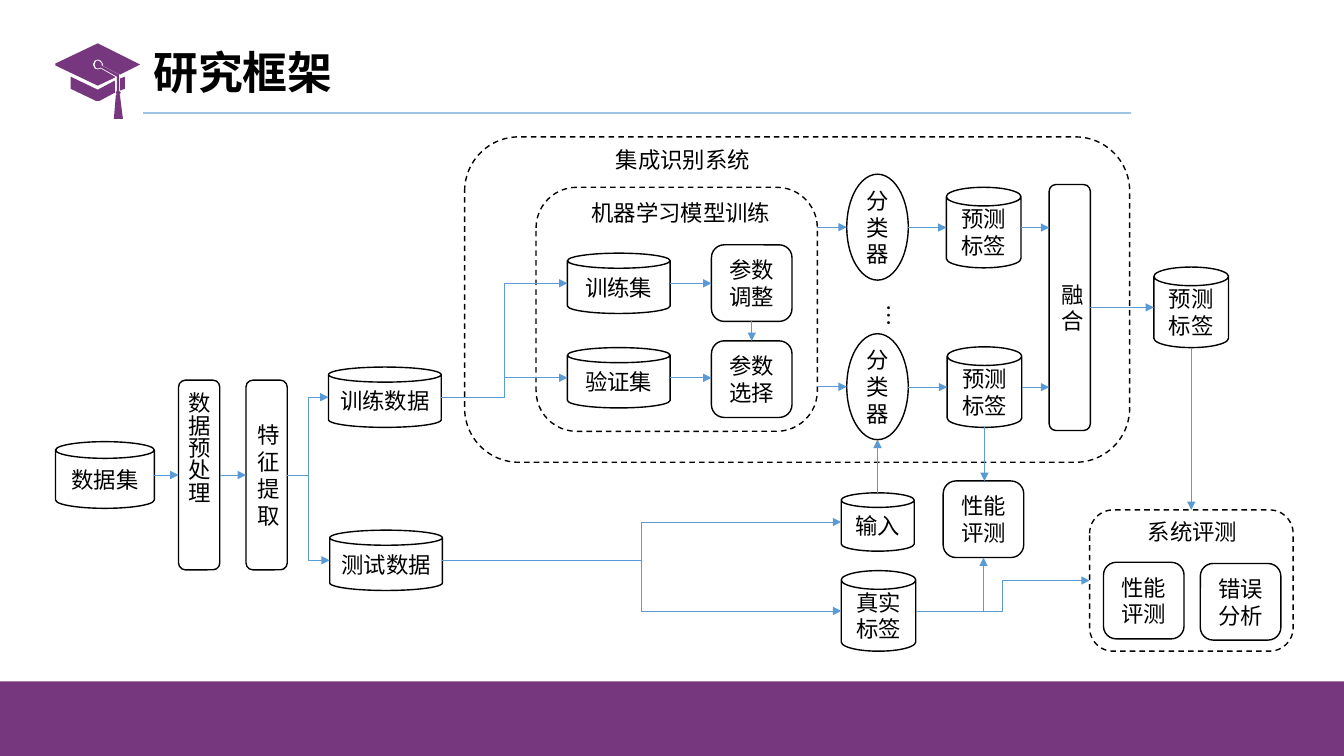
from lxml.etree import SubElement
from pptx import Presentation
from pptx.dml.color import RGBColor
from pptx.enum.dml import MSO_LINE
from pptx.enum.shapes import MSO_CONNECTOR, MSO_SHAPE
from pptx.enum.text import MSO_ANCHOR, PP_ALIGN
from pptx.oxml.ns import qn
from pptx.util import Cm, Pt

BLACK = RGBColor(0x00, 0x00, 0x00)
PURPLE = RGBColor(0x77, 0x37, 0x7E)
ARROW_BLUE = RGBColor(0x5B, 0x9B, 0xD5)
RULE_BLUE = RGBColor(0x9D, 0xC3, 0xE6)
FONT = "Noto Sans CJK SC"
CAN, ROUND, OVAL = MSO_SHAPE.CAN, MSO_SHAPE.ROUNDED_RECTANGLE, MSO_SHAPE.OVAL

# Content: all positions and sizes in centimetres
TITLE = "研究框架"
DATA, SET, LABEL = (2.84, 1.52), (2.59, 1.52), (1.88, 2.03)
STEP, COLUMN, CLASSIFIER = (2.03, 1.93), (1.04, 4.78), (1.55, 2.67)

# name: shape, text, (left, top), (width, height)
NODES = {
    "dataset": (CAN, "数据集", (1.4, 11.13), (2.49, 1.68)),
    "preprocess": (ROUND, "数据预处理", (4.5, 9.58), COLUMN),
    "features": (ROUND, "特征提取", (6.2, 9.58), COLUMN),
    "train data": (CAN, "训练数据", (8.28, 9.25), DATA),
    "test data": (CAN, "测试数据", (8.31, 13.36), DATA),
    "train set": (CAN, "训练集", (14.3, 6.38), SET),
    "check set": (CAN, "验证集", (14.3, 8.76), SET),
    "tuning": (ROUND, "参数调整", (17.93, 6.17), STEP),
    "selection": (ROUND, "参数选择", (17.93, 8.59), STEP),
    "classifier 1": (OVAL, "分类器", (21.34, 4.39), CLASSIFIER),
    "classifier 2": (OVAL, "分类器", (21.34, 8.41), CLASSIFIER),
    "label 1": (CAN, "预测标签", (23.85, 4.72), LABEL),
    "label 2": (CAN, "预测标签", (23.87, 8.74), LABEL),
    "fusion": (ROUND, "融合", (26.44, 4.65), (1.04, 6.2)),
    "final label": (CAN, "预测标签", (29.08, 6.73), LABEL),
    "input": (CAN, "输入", (21.2, 12.42), (1.84, 1.47)),
    "true label": (CAN, "真实标签", (21.2, 14.38), LABEL),
    "model check": (ROUND, "性能评测", (23.77, 12.12), STEP),
    "system check": (ROUND, "性能评测", (27.81, 14.17), STEP),
    "errors": (ROUND, "错误分析", (30.25, 14.2), STEP),
}
FRAMES = {
    "training": ((13.51, 4.72), (7.09, 6.15)),
    "ensemble": ((11.71, 3.45), (16.76, 8.2)),
    "evaluation": ((27.46, 12.85), (5.13, 3.56)),
}
CAPTIONS = [
    ("机器学习模型训练", (14.66, 4.9), (5.08, 0.94)),
    ("集成识别系统", (15.27, 3.56), (3.94, 0.94)),
    ("系统评测", (28.68, 12.93), (2.79, 0.94)),
    ("…", (21.69, 7.42), (1.19, 0.84)),
]
VERTICAL = {"数据预处理", "…"}

ACROSS = [
    ("dataset", "preprocess"), ("preprocess", "features"),
    ("train set", "tuning"), ("check set", "selection"),
    ("training", "classifier 1"), ("training", "classifier 2"),
    ("classifier 1", "label 1"), ("classifier 2", "label 2"),
    ("label 1", "fusion"), ("label 2", "fusion"), ("fusion", "final label"),
]
UPRIGHT = [
    ("tuning", "selection"), ("label 2", "model check"),
    ("final label", "evaluation"), ("input", "classifier 2"),
]
BENT = [
    ("features", "train data"), ("features", "test data"),
    ("train data", "train set"), ("train data", "check set"),
    ("test data", "input"), ("test data", "true label"),
    ("true label", "evaluation"),
]

# Graduation cap outlines, in hundredths of an inch
CAP = [
    [(119, 90), (124, 88), (124, 76), (119, 78)],
    [(70, 76), (70, 88), (95, 100), (99, 100), (114, 92), (114, 80), (97, 89)],
    [(118, 75), (118, 74), (101, 65), (101, 63), (99, 61), (97, 60), (95, 61),
     (94, 64), (95, 67), (97, 68), (100, 67), (116, 76)],
    [(139, 64), (97, 43), (55, 63), (55, 65), (97, 85), (114, 77), (114, 76),
     (100, 68), (97, 69), (94, 68), (92, 64), (94, 60), (97, 59), (100, 60),
     (102, 63), (102, 65), (119, 74)],
    [(118, 75), (118, 90), (120, 92), (118, 94), (119, 94), (122, 118),
     (113, 118), (115, 94), (116, 94), (115, 92), (116, 90), (116, 76)],
]

deck = Presentation()
deck.slide_width, deck.slide_height = Cm(33.87), Cm(19.05)
page = deck.slides.add_slide(deck.slide_layouts[5])


def lengths(*values):
    return [Cm(value) for value in values]


def write(shape, text, size=16, align=PP_ALIGN.CENTER, bold=False):
    frame = shape.text_frame
    frame.text = text
    para = frame.paragraphs[0]
    para.alignment = align
    font = para.font
    font.size, font.bold, font.name = Pt(size), bold, FONT
    font.color.rgb = BLACK
    SubElement(font._element, qn("a:ea"), typeface=FONT)
    if text in VERTICAL:
        frame._txBody.bodyPr.set("vert", "eaVert")
    return para


def outline(kind, place, size):
    shape = page.shapes.add_shape(kind, *lengths(*place, *size))
    shape.shadow.inherit = False
    shape.fill.background()
    shape.line.color.rgb = BLACK
    shape.line.width = Pt(1)
    return shape


def paint(shape):
    shape.shadow.inherit = False
    shape.fill.solid()
    shape.fill.fore_color.rgb = PURPLE
    shape.line.fill.background()


def connect(kind, start, end, color=ARROW_BLUE, width=0.5, arrow=True):
    line = page.shapes.add_connector(kind, *lengths(*start, *end))
    line.line.color.rgb = color
    line.line.width = Pt(width)
    if arrow:
        SubElement(line.line._get_or_add_ln(), qn("a:tailEnd"), type="triangle")
    SubElement(line._element.spPr, qn("a:effectLst"))
    return line


# Left, top, width and height of everything an arrow can touch
boxes = {name: (*place, *size) for name, (_, _, place, size) in NODES.items()}
boxes.update({name: (*place, *size) for name, (place, size) in FRAMES.items()})


def middle(name, axis):
    return boxes[name][axis] + boxes[name][axis + 2] / 2


def far_side(name, axis):
    return boxes[name][axis] + boxes[name][axis + 2]


# Title, rule and bottom band
title = page.shapes.title
title.left, title.top, title.width, title.height = lengths(3.61, 0.94, 14.6, 1.91)
title.text_frame.vertical_anchor = MSO_ANCHOR.MIDDLE
write(title, TITLE, 32, PP_ALIGN.LEFT, True).line_spacing = 0.9
connect(MSO_CONNECTOR.STRAIGHT, (3.61, 2.84), (28.5, 2.84), RULE_BLUE, 1.5, False)
paint(page.shapes.add_shape(MSO_SHAPE.RECTANGLE, *lengths(0, 17.17, 33.87, 1.88)))

# Graduation cap
builder = page.shapes.build_freeform(*CAP[0][0], scale=Cm(0.0254))
for contour in CAP:
    builder.move_to(*contour[0])
    builder.add_line_segments(contour[1:], close=True)
paint(builder.convert_to_shape())

# Dashed frames, nodes and captions
for place, size in FRAMES.values():
    outline(ROUND, place, size).line.dash_style = MSO_LINE.DASH
for kind, text, place, size in NODES.values():
    node = outline(kind, place, size)
    node.text_frame.vertical_anchor = MSO_ANCHOR.MIDDLE
    write(node, text)
for text, place, size in CAPTIONS:
    caption = page.shapes.add_textbox(*lengths(*place, *size))
    caption.text_frame.word_wrap = False
    write(caption, text, align=PP_ALIGN.LEFT)

# Straight arrows stay centred on the smaller of their two boxes
for source, target in ACROSS:
    smaller = min(source, target, key=lambda name: boxes[name][3])
    y = middle(smaller, 1)
    connect(MSO_CONNECTOR.STRAIGHT, (far_side(source, 0), y), (boxes[target][0], y))
for source, target in UPRIGHT:
    smaller = min(source, target, key=lambda name: boxes[name][2])
    x = middle(smaller, 0)
    downward = boxes[source][1] < boxes[target][1]
    start = far_side(source, 1) if downward else boxes[source][1]
    end = boxes[target][1] if downward else far_side(target, 1)
    connect(MSO_CONNECTOR.STRAIGHT, (x, start), (x, end))

# Bent arrows; the last one turns only once, up into the model check
for source, target in BENT:
    connect(MSO_CONNECTOR.ELBOW, (far_side(source, 0), middle(source, 1)),
            (boxes[target][0], middle(target, 1)))
corner = connect(MSO_CONNECTOR.ELBOW,
                 (far_side("true label", 0), middle("true label", 1)),
                 (middle("model check", 0), far_side("model check", 1)))
corner._element.spPr.find(qn("a:prstGeom")).set("prst", "bentConnector2")

deck.save("out.pptx")
